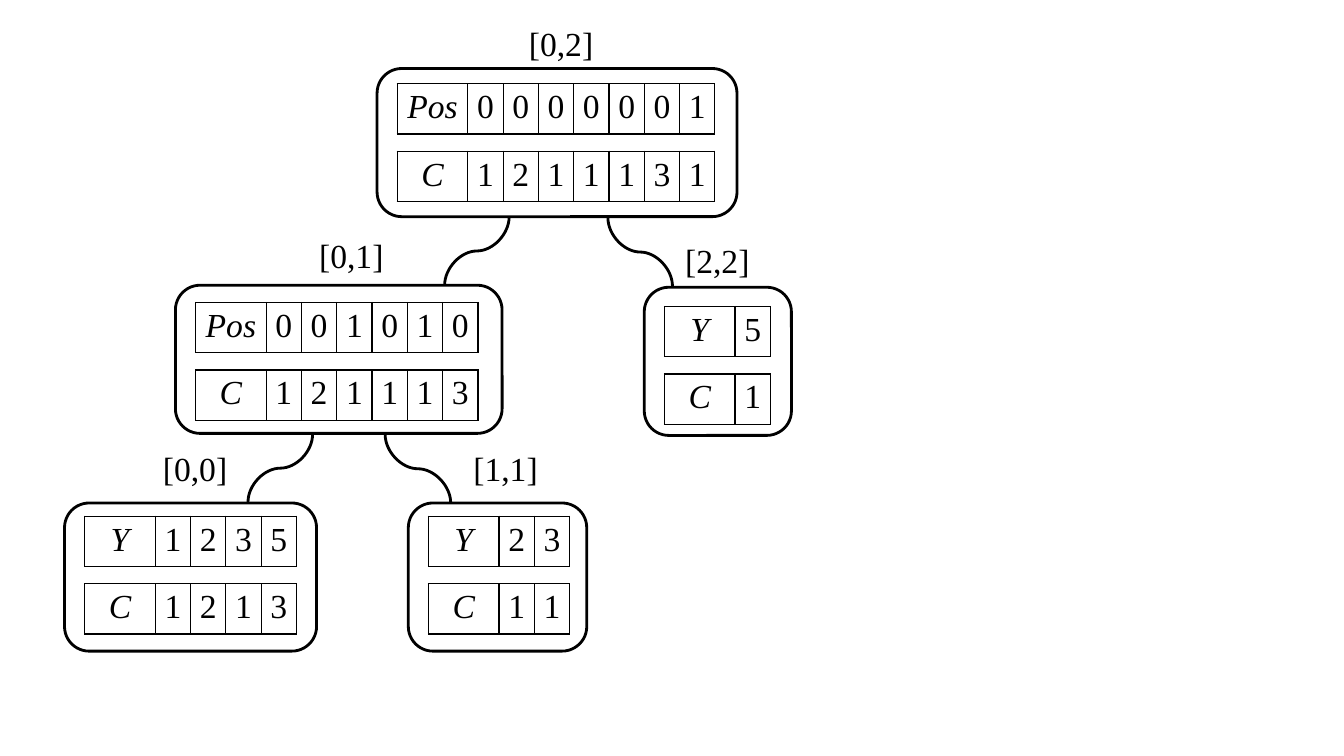
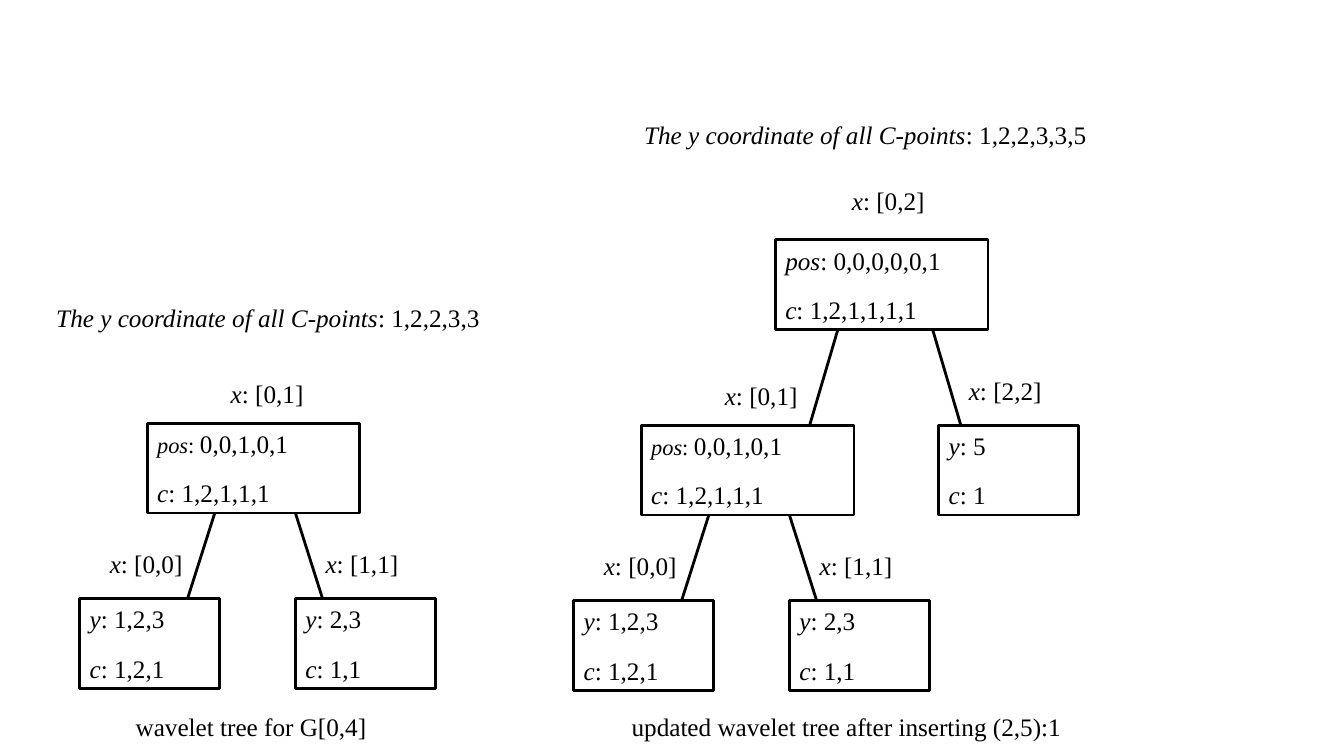
from lxml import etree
from pptx import Presentation
from pptx.dml.color import RGBColor
from pptx.enum.shapes import MSO_CONNECTOR, MSO_SHAPE
from pptx.enum.text import MSO_ANCHOR, PP_ALIGN
from pptx.oxml.ns import qn
from pptx.util import Inches, Pt

STRAIGHT, CURVE = MSO_CONNECTOR.STRAIGHT, MSO_CONNECTOR.CURVE
RECT, ROUNDED = MSO_SHAPE.RECTANGLE, MSO_SHAPE.ROUNDED_RECTANGLE
LEFT, CENTER = PP_ALIGN.LEFT, PP_ALIGN.CENTER
TOP = MSO_ANCHOR.TOP

COLORS = {"ink": "000000", "paper": "FFFFFF"}
FONT = "Times New Roman"
BIG, NORMAL, SMALL = 24, 18, 16
LINE_WIDTH = 2

# Array nodes
ARRAY_NODE_H, ROW_H, ROW_PITCH = 1.47, 0.5, 0.67
KEY_W, VALUE_W, ROW_INSET = 0.7, 0.35, 0.2

# List nodes
LIST_NODE_H, INNER_W, LEAF_W = 0.89, 2.11, 1.39
LEVEL_H, LABEL_W, LABEL_H = 1.74, 1.04, 0.4


def rgb(name):
    return RGBColor.from_string(COLORS[name])


def add_runs(p, runs, align):
    """Fill a paragraph with (text, size, italic) runs."""
    p.alignment = align
    for text, size, italic in runs:
        r = p.add_run()
        r.text = text
        r.font.color.rgb = rgb("ink")
        formats = {"name": FONT, "size": Pt(size), "italic": italic}
        for attr, value in formats.items():
            setattr(r.font, attr, value)


def key_runs(key, value, key_size=NORMAL):
    return [(key, key_size, True), (": ", key_size, False), (value, NORMAL, False)]


def add_text(s, x, y, w, h, runs, align=CENTER):
    tf = s.shapes.add_textbox(*map(Inches, (x, y, w, h))).text_frame
    tf.word_wrap = True
    add_runs(tf.paragraphs[0], runs, align)


def set_outline(shape):
    shape.line.color.rgb = rgb("ink")
    shape.line.width = Pt(LINE_WIDTH)


def add_frame(s, kind, x, y, w, h):
    sp = s.shapes.add_shape(kind, *map(Inches, (x, y, w, h)))
    sp.shadow.inherit = False
    sp.fill.background()
    set_outline(sp)
    return sp


def add_edge(s, kind, x1, y1, x2, y2):
    c = s.shapes.add_connector(kind, *map(Inches, (x1, y1, x2, y2)))
    set_outline(c)
    etree.SubElement(c._element.spPr, qn("a:effectLst"))
    return c


def add_curved_edge(s, x1, y1, x2, y2):
    """Join two points by a curve that leaves and arrives vertically."""
    cx, cy = (x1 + x2) / 2, (y1 + y2) / 2
    half_w, half_h = (y2 - y1) / 2, (x1 - x2) / 2
    c = add_edge(s, CURVE, cx - half_w, cy - half_h, cx + half_w, cy + half_h)
    c._element.spPr.find(qn("a:xfrm")).set("rot", str(90 * 60000))


def set_borders(cell):
    tc_pr = cell._tc.get_or_add_tcPr()
    for i, side in enumerate(("a:lnL", "a:lnR", "a:lnT", "a:lnB")):
        ln = etree.Element(qn(side), w=str(Pt(1)))
        fill = etree.SubElement(ln, qn("a:solidFill"))
        etree.SubElement(fill, qn("a:srgbClr"), val=COLORS["ink"])
        tc_pr.insert(i, ln)


def add_array(s, x, y, key, values):
    texts = [key, *values]
    widths = [KEY_W] + [VALUE_W] * len(values)
    frame = s.shapes.add_table(1, len(texts), *map(Inches, (x, y, sum(widths), ROW_H)))
    table = frame.table
    table.first_row = table.horz_banding = False
    for i, (text, width) in enumerate(zip(texts, widths)):
        table.columns[i].width = Inches(width)
        cell = table.cell(0, i)
        cell.margin_left = cell.margin_right = Inches(0.05)
        cell.fill.solid()
        cell.fill.fore_color.rgb = rgb("paper")
        set_borders(cell)
        add_runs(cell.text_frame.paragraphs[0], [(text, BIG, i == 0)], CENTER)


def add_array_node(s, x, y, w, row_top, label, label_at, rows):
    add_frame(s, ROUNDED, x, y, w, ARRAY_NODE_H)
    for i, (key, values) in enumerate(rows):
        add_array(s, x + ROW_INSET, y + row_top + i * ROW_PITCH, key, values)
    dx, dy = label_at
    add_text(s, x + dx, y + dy, 1.77, 0.5, [(label, BIG, False)])


def add_list_node(s, x, y, w, rows, label, label_at):
    sp = add_frame(s, RECT, x, y, w, LIST_NODE_H)
    tf = sp.text_frame
    tf.word_wrap = True
    tf.vertical_anchor = TOP
    for i, row in enumerate(rows):
        p = tf.add_paragraph() if i else tf.paragraphs[0]
        p.space_before = Pt(13.5 if i else 0)
        add_runs(p, key_runs(*row), LEFT)
    dx, dy = label_at
    add_text(s, x + dx, y + dy, LABEL_W, LABEL_H, key_runs("x", label))


def add_edge_pair(s, x, y, height, spread):
    """Draw the two edges that leave a list node at x, y."""
    for dx, shift in ((0.67, -spread), (1.47, spread)):
        add_edge(s, STRAIGHT, x + dx, y + LIST_NODE_H, x + dx + shift, y + height)


def add_base_tree(s, x, y):
    """Draw the three-node tree for [0,1] with its inner node at x, y."""
    add_list_node(s, x, y, INNER_W, [("pos", "0,0,1,0,1", SMALL), ("c", "1,2,1,1,1")],
                  "[0,1]", (0.67, -0.5))
    leaves = [(-0.67, "1,2,3", "1,2,1", "[0,0]"), (1.47, "2,3", "1,1", "[1,1]")]
    for dx, ys, counts, label in leaves:
        add_list_node(s, x + dx, y + LEVEL_H, LEAF_W, [("y", ys), ("c", counts)],
                      label, (0.14, -0.55))
    add_edge_pair(s, x, y, LEVEL_H, 0.27)


def add_heading(s, x, y, values):
    add_text(s, x, y, 4.94, LABEL_H,
             key_runs("The y coordinate of all C-points", values), LEFT)


def add_caption(s, x, w, text):
    add_text(s, x, 7.01, w, LABEL_H, [(text, NORMAL, False)])


def build_array_tree(s):
    nodes = [
        (3.74, 0.68, 3.57, 0.15, "[0,2]", (0.94, -0.5),
         [("Pos", "0000001"), ("C", "1211131")]),
        (1.74, 2.83, 3.24, 0.17, "[0,1]", (0.86, -0.55),
         [("Pos", "001010"), ("C", "121113")]),
        (6.39, 2.85, 1.46, 0.19, "[2,2]", (-0.16, -0.52),
         [("Y", "5"), ("C", "1")]),
        (0.64, 4.99, 2.5, 0.13, "[0,0]", (0.41, -0.6),
         [("Y", "1235"), ("C", "1213")]),
        (4.05, 4.99, 1.77, 0.13, "[1,1]", (0.08, -0.6),
         [("Y", "23"), ("C", "11")]),
    ]
    for node in nodes:
        add_array_node(s, *node)
    edges = [(5.05, 2.15, 4.41, 2.83), (6.03, 2.16, 6.67, 2.84),
             (3.1, 4.31, 2.46, 4.98), (3.82, 4.31, 4.47, 4.99)]
    for edge in edges:
        add_curved_edge(s, *edge)


def build_insertion(s):
    add_heading(s, 0.46, 2.95, "1,2,2,3,3")
    add_base_tree(s, 1.46, 4.2)
    add_caption(s, 0.88, 3.22, "wavelet tree for G[0,4]")

    add_heading(s, 6.29, 1.13, "1,2,2,3,3,5")
    root_x, root_y = 7.69, 2.38
    add_list_node(s, root_x, root_y, INNER_W, [("pos", "0,0,0,0,0,1"), ("c", "1,2,1,1,1,1")],
                  "[0,2]", (0.6, -0.59))
    add_list_node(s, root_x + 1.62, root_y + 1.84, LEAF_W, [("y", "5"), ("c", "1")],
                  "[2,2]", (0.14, -0.55))
    for x1, x2 in ((8.31, 8.03), (9.25, 9.53)):
        add_edge(s, STRAIGHT, x1, root_y + LIST_NODE_H, x2, root_y + 1.84)
    add_base_tree(s, 6.36, 4.22)
    add_caption(s, 5.34, 6.11, "updated wavelet tree after inserting (2,5):1")


def main():
    prs = Presentation()
    prs.slide_width, prs.slide_height = Inches(13.33), Inches(7.5)
    for build in (build_array_tree, build_insertion):
        build(prs.slides.add_slide(prs.slide_layouts[6]))
    prs.save("out.pptx")


if __name__ == "__main__":
    main()
